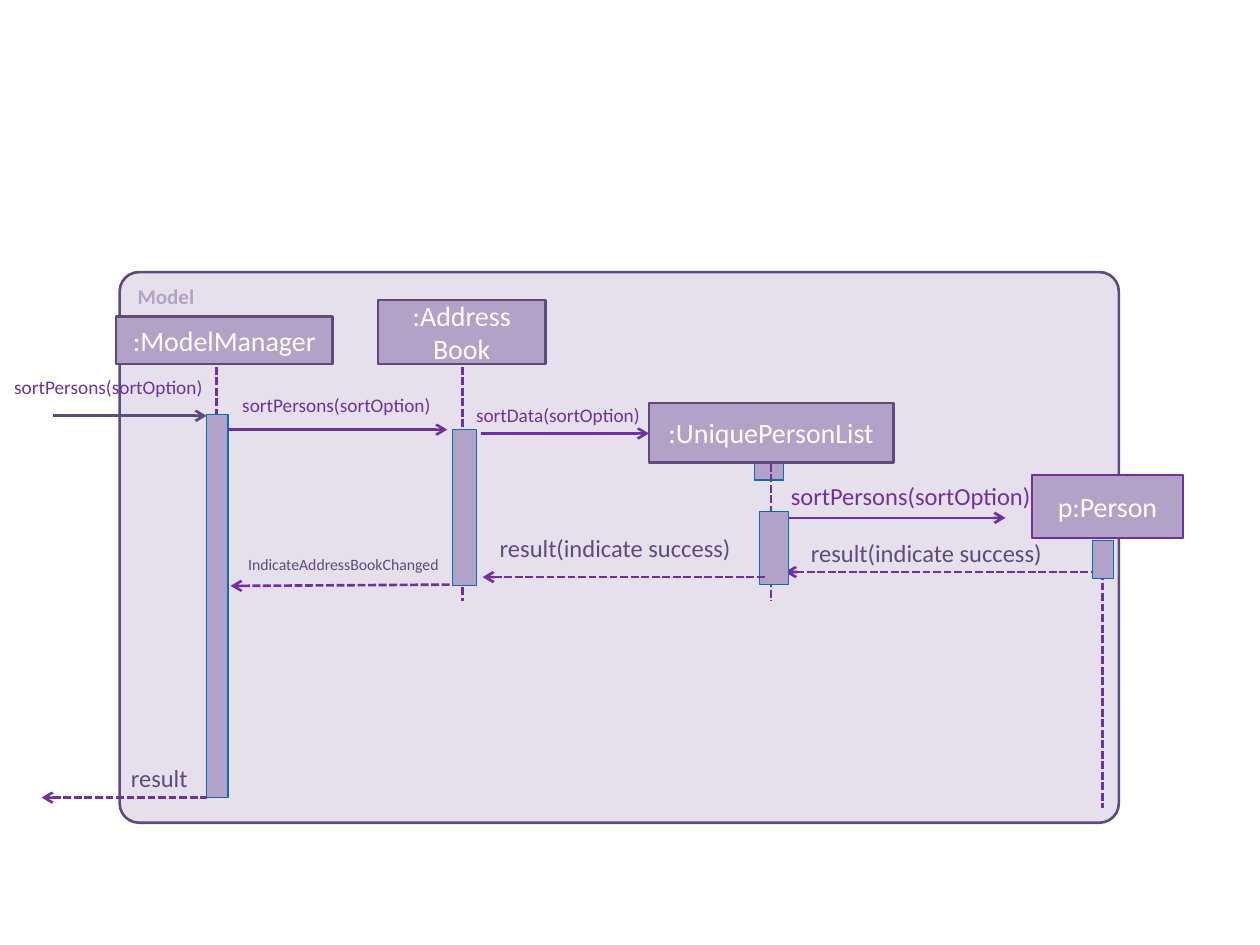
import pptx
import pptx.util
import pptx.dml.color
import pptx.enum.dml
import pptx.enum.shapes
import pptx.enum.text
import pptx.oxml.ns
import lxml.etree

Inches, Pt = pptx.util.Inches, pptx.util.Pt
SHAPE = pptx.enum.shapes.MSO_SHAPE
ALIGN = pptx.enum.text.PP_ALIGN
ANCHOR = pptx.enum.text.MSO_ANCHOR
COLORS = {
    "panel": "E6E0EC", "fill": "B3A2C7", "dark": "604A7B",
    "violet": "7030A0", "blue": "0070C0", "white": "FFFFFF",
}


def color(name):
    return pptx.dml.color.RGBColor.from_string(COLORS[name])


def write(frame, text, size, ink, align, bold=False):
    for i, line in enumerate(text.split("\n")):
        para = frame.paragraphs[0] if i == 0 else frame.add_paragraph()
        para.text = line
        para.alignment = align
        para.font.name = "Calibri"
        para.font.size = Pt(size)
        para.font.bold = bold
        para.font.color.rgb = color(ink)


def add_box(slide, place, fill, edge, width=1.5, kind=SHAPE.RECTANGLE):
    box = slide.shapes.add_shape(kind, *map(Inches, place))
    box.shadow.inherit = False
    box.fill.solid()
    box.fill.fore_color.rgb = color(fill)
    box.line.color.rgb = color(edge)
    box.line.width = Pt(width)
    return box


def add_line(slide, start, end, ink="violet", dash=False, tip=None):
    line = slide.shapes.add_connector(
        pptx.enum.shapes.MSO_CONNECTOR.STRAIGHT, *map(Inches, start + end))
    line.line.color.rgb = color(ink)
    line.line.width = Pt(1.5)
    if dash:
        line.line.dash_style = pptx.enum.dml.MSO_LINE.SQUARE_DOT
    qn = pptx.oxml.ns.qn
    if tip:
        stroke = line.line._get_or_add_ln()
        lxml.etree.SubElement(stroke, qn("a:" + tip)).set("type", "arrow")
    lxml.etree.SubElement(line._element.spPr, qn("a:effectLst"))


def add_label(slide, place, text, size, ink):
    label = slide.shapes.add_textbox(*map(Inches, place))
    frame = label.text_frame
    frame.word_wrap = True
    frame.margin_left = frame.margin_right = 0
    frame.margin_top = frame.margin_bottom = 0
    write(frame, text, size, ink, ALIGN.RIGHT)


def add_panel(slide):
    panel = add_box(slide, (0.95, 2.16, 7.93, 4.37), "panel", "dark",
                    kind=SHAPE.ROUNDED_RECTANGLE)
    panel.adjustments[0] = 0.035
    panel.text_frame.vertical_anchor = ANCHOR.TOP
    write(panel.text_frame, "Model", 12, "fill", ALIGN.LEFT, True)


def add_actor(slide, name, place, life, bar, edge="dark"):
    """Draw a named box, its lifeline (x, top, bottom) and its active bar."""
    box = add_box(slide, place, "fill", edge)
    box.text_frame.vertical_anchor = ANCHOR.MIDDLE
    write(box.text_frame, name, 16, "white", ALIGN.CENTER)
    x, top, bottom = life
    add_line(slide, (x, top), (x, bottom), dash=True)
    add_bar(slide, bar)


def add_bar(slide, place):
    add_box(slide, place, "fill", "blue", 0.75)


def add_call(slide, start, end, text, place, size, ink="violet"):
    add_line(slide, start, end, ink, tip="tailEnd")
    add_label(slide, place, text, size, "violet")


def add_reply(slide, left, right, text, place, size):
    add_line(slide, left, right, dash=True, tip="headEnd")
    add_label(slide, place, text, size, "dark")


def main():
    deck = pptx.Presentation()
    deck.slide_width, deck.slide_height = Inches(10), Inches(7.5)
    slide = deck.slides.add_slide(deck.slide_layouts[6])
    sort, done = "sortPersons(sortOption)", "result(indicate success)"
    add_panel(slide)

    # Outer participants
    add_actor(slide, ":ModelManager", (0.92, 2.51, 1.72, 0.38),
              (1.72, 2.91, 5.75), (1.64, 3.29, 0.17, 3.04))
    add_actor(slide, ":Address\nBook", (3, 2.38, 1.33, 0.51),
              (3.67, 2.91, 4.77), (3.59, 3.41, 0.19, 1.24))
    add_actor(slide, "p:Person", (8.19, 3.77, 1.2, 0.5),
              (8.75, 4.29, 6.41), (8.67, 4.29, 0.17, 0.3), "violet")

    # Messages to and from the person, tucked behind the list's bar
    add_call(slide, (6.23, 4.11), (7.98, 4.11), sort,
             (6.12, 3.82, 2.06, 0.24), 14)
    add_reply(slide, (6.23, 4.54), (8.67, 4.54), done,
              (6.07, 4.27, 2.2, 0.24), 14)

    # Person list
    add_bar(slide, (5.99, 3.68, 0.23, 0.13))
    add_actor(slide, ":UniquePersonList", (5.15, 3.2, 1.94, 0.47),
              (6.12, 3.68, 4.77), (6.03, 4.06, 0.23, 0.58))

    # Other calls
    add_call(slide, (0.42, 3.3), (1.64, 3.3), sort,
             (0.05, 2.98, 1.56, 0.19), 11, "dark")
    add_call(slide, (1.81, 3.41), (3.55, 3.41), sort,
             (1.86, 3.12, 1.56, 0.19), 11)
    add_call(slide, (3.82, 3.44), (5.15, 3.44), "sortData(sortOption)",
             (3.52, 3.2, 1.56, 0.19), 11)

    # Other replies
    add_reply(slide, (3.83, 4.58), (6.07, 4.58), done,
              (3.6, 4.23, 2.2, 0.24), 14)
    add_reply(slide, (1.83, 4.65), (3.57, 4.64), "IndicateAddressBookChanged",
              (1.88, 4.4, 1.6, 0.15), 9)
    add_reply(slide, (0.33, 6.33), (1.64, 6.33), "result",
              (0.66, 6.06, 0.83, 0.24), 14)

    deck.save("out.pptx")


main()
